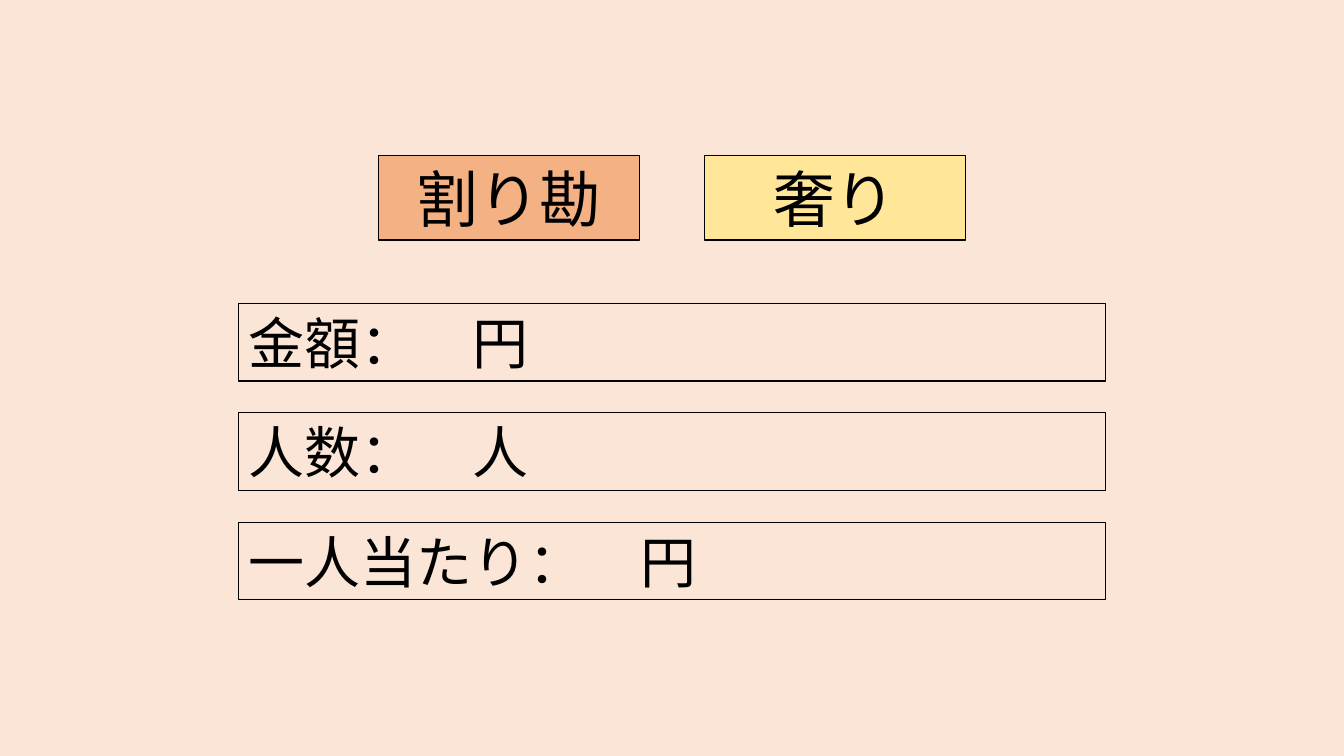
from pptx import Presentation
from pptx.dml.color import RGBColor
from pptx.enum import shapes, text
from pptx.oxml import ns
from pptx.util import Pt
from lxml import etree

FONT = "Noto Sans CJK JP"
BLACK = "000000"
SLIDE_WIDTH, SLIDE_HEIGHT = 960, 540


def paint(fill, colour):
    fill.solid()
    fill.fore_color.rgb = RGBColor.from_string(colour)


def add_box(slide, left, top, width, height, label, size, align, colour=None):
    """Outlined rectangle with one line of text."""
    box = slide.shapes.add_shape(shapes.MSO_SHAPE.RECTANGLE,
                                 Pt(left), Pt(top), Pt(width), Pt(height))
    box.shadow.inherit = False
    if colour:
        paint(box.fill, colour)
    else:
        box.fill.background()
    paint(box.line.fill, BLACK)
    box.line.width = Pt(0.75)

    frame = box.text_frame
    frame.word_wrap = True
    frame.vertical_anchor = text.MSO_ANCHOR.MIDDLE
    paragraph = frame.paragraphs[0]
    paragraph.alignment = align
    run = paragraph.add_run()
    run.text = label
    run.font.size = Pt(size)
    run.font.name = FONT
    paint(run.font.fill, BLACK)
    # Japanese glyphs take the East Asian typeface
    etree.SubElement(run.font._element, ns.qn("a:ea"), typeface=FONT)


def add_buttons(slide):
    width, gap = 186.5, 46
    left = (SLIDE_WIDTH - 2 * width - gap) / 2
    buttons = [("割り勘", "F4B183"), ("奢り", "FFE699")]
    for i, (label, colour) in enumerate(buttons):
        add_box(slide, left + i * (width + gap), 111, width, 60.5,
                label, 44, text.PP_ALIGN.CENTER, colour)


def add_fields(slide):
    width, top, pitch = 619.2, 216.7, 78.1
    left = (SLIDE_WIDTH - width) / 2
    for i, label in enumerate(["金額：　円", "人数：　人", "一人当たり：　円"]):
        add_box(slide, left, top + i * pitch, width, 55.5,
                label, 40, text.PP_ALIGN.LEFT)


def main():
    deck = Presentation()
    deck.slide_width, deck.slide_height = Pt(SLIDE_WIDTH), Pt(SLIDE_HEIGHT)
    slide = deck.slides.add_slide(deck.slide_layouts[6])
    paint(slide.background.fill, "FBE5D6")

    # Input fields, then the choice of how to pay
    add_fields(slide)
    add_buttons(slide)
    deck.save("out.pptx")


if __name__ == "__main__":
    main()
